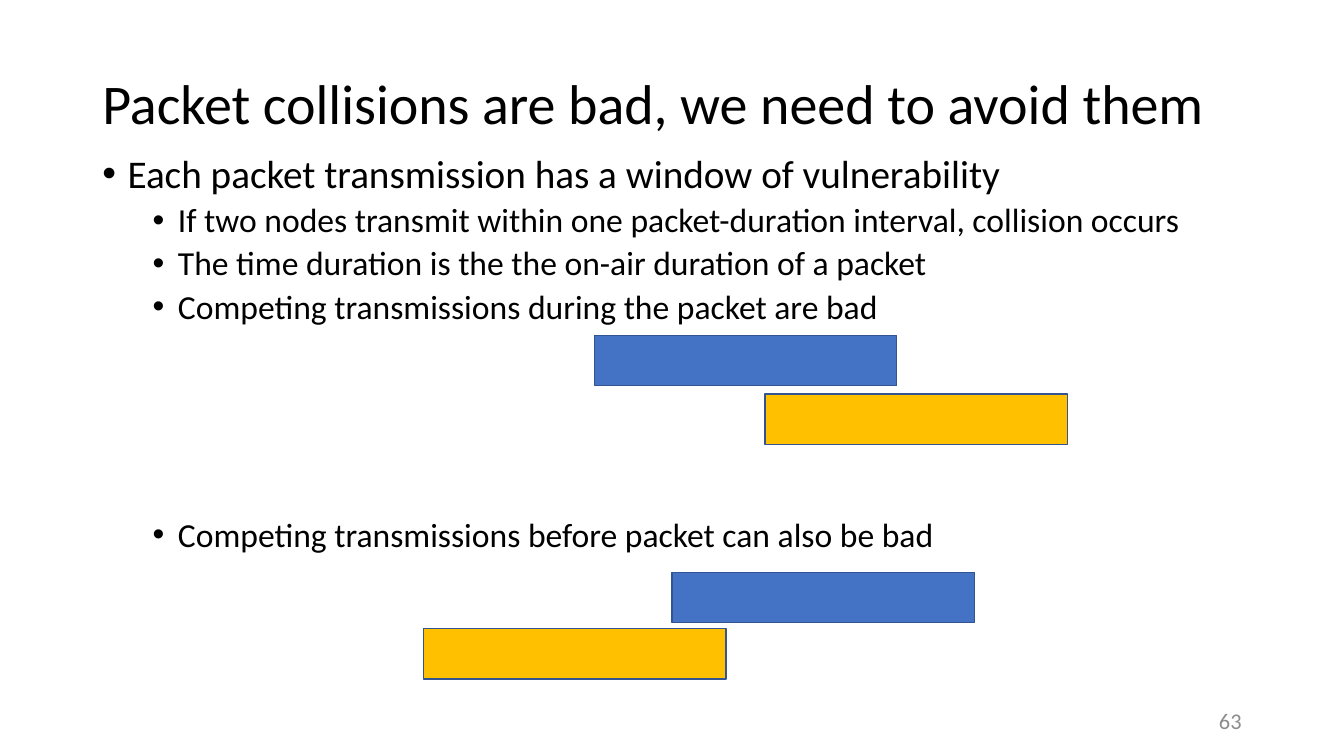
from dataclasses import dataclass

from lxml import etree
from pptx import Presentation
from pptx.dml.color import RGBColor
from pptx.enum.shapes import MSO_SHAPE
from pptx.enum.text import MSO_ANCHOR, PP_ALIGN
from pptx.oxml.ns import qn
from pptx.slide import Slide
from pptx.text.text import TextFrame
from pptx.util import Cm, Pt

RECTANGLE = MSO_SHAPE.RECTANGLE
TOP, MIDDLE = MSO_ANCHOR.TOP, MSO_ANCHOR.MIDDLE
LEFT, RIGHT = PP_ALIGN.LEFT, PP_ALIGN.RIGHT


@dataclass(frozen=True)
class Theme:
    font: str = "Calibri"
    ink: str = "000000"
    muted: str = "8C8C8C"
    packet: str = "4472C4"
    competitor: str = "FFC000"
    outline: str = "325491"
    title_size: int = 40
    point_size: int = 28
    detail_size: int = 24
    number_size: int = 16


@dataclass(frozen=True)
class Bullet:
    text: str
    level: int = 1
    space_before: float = 5


@dataclass(frozen=True)
class Transmission:
    left: float
    top: float
    color: str


THEME = Theme()
MARGIN, CONTENT_WIDTH = 2.33, 29.21
BAR_WIDTH, BAR_HEIGHT = 7.62, 1.27
BULLET_HANG, LEVEL_STEP = 0.635, 1.27
DIAGRAM_GAP = 137  # points kept free for the first pair of bars

BULLETS = (
    Bullet("Each packet transmission has a window of vulnerability", 0, 10),
    Bullet("If two nodes transmit within one packet-duration interval, collision occurs"),
    Bullet("The time duration is the the on-air duration of a packet"),
    Bullet("Competing transmissions during the packet are bad"),
    Bullet("Competing transmissions before packet can also be bad", space_before=DIAGRAM_GAP),
)

TRANSMISSIONS = (
    Transmission(14.98, 8.45, THEME.packet),
    Transmission(16.94, 14.42, THEME.packet),
    Transmission(10.68, 15.84, THEME.competitor),
    Transmission(19.28, 9.93, THEME.competitor),
)


def add_frame(slide: Slide, left: float, top: float, width: float, height: float,
              anchor: MSO_ANCHOR = MIDDLE) -> TextFrame:
    frame = slide.shapes.add_textbox(Cm(left), Cm(top), Cm(width), Cm(height)).text_frame
    frame.word_wrap = True
    frame.vertical_anchor = anchor
    return frame


def write(frame: TextFrame, text: str, *, size: float, color: str = THEME.ink,
          align: PP_ALIGN = LEFT, line_spacing: float = 0.9,
          space_before: float = 0, bullet_level: int | None = None) -> None:
    """Fill the frame's first paragraph, or append one if it is taken."""
    first = frame.paragraphs[0]
    paragraph = frame.add_paragraph() if first.runs else first
    paragraph.alignment = align
    paragraph.line_spacing = line_spacing
    paragraph.space_before = Pt(space_before)
    run = paragraph.add_run()
    run.text = text
    run.font.name = THEME.font
    run.font.size = Pt(size)
    run.font.color.rgb = RGBColor.from_string(color)
    if bullet_level is not None:
        paragraph.level = bullet_level
        properties = paragraph._p.get_or_add_pPr()
        properties.set("marL", str(Cm(BULLET_HANG + bullet_level * LEVEL_STEP)))
        properties.set("indent", str(-Cm(BULLET_HANG)))
        etree.SubElement(properties, qn("a:buFont"), typeface="Arial")
        etree.SubElement(properties, qn("a:buChar"), char="•")


def add_transmission(slide: Slide, transmission: Transmission) -> None:
    bar = slide.shapes.add_shape(RECTANGLE, Cm(transmission.left), Cm(transmission.top),
                                 Cm(BAR_WIDTH), Cm(BAR_HEIGHT))
    bar.shadow.inherit = False
    bar.fill.solid()
    bar.fill.fore_color.rgb = RGBColor.from_string(transmission.color)
    bar.line.color.rgb = RGBColor.from_string(THEME.outline)
    bar.line.width = Pt(1)


def main() -> None:
    presentation = Presentation()
    presentation.slide_width, presentation.slide_height = Cm(33.87), Cm(19.05)
    slide = presentation.slides.add_slide(presentation.slide_layouts[6])

    title = add_frame(slide, MARGIN, 0.84, CONTENT_WIDTH, 3.68)
    write(title, "Packet collisions are bad, we need to avoid them", size=THEME.title_size)

    body = add_frame(slide, MARGIN, 3.76, CONTENT_WIDTH, 12.09, anchor=TOP)
    for bullet in BULLETS:
        write(body, bullet.text, bullet_level=bullet.level, space_before=bullet.space_before,
              size=THEME.detail_size if bullet.level else THEME.point_size)

    number = add_frame(slide, 23.92, 17.65, 7.62, 1.02)
    write(number, "63", size=THEME.number_size, color=THEME.muted, align=RIGHT, line_spacing=1.0)

    for transmission in TRANSMISSIONS:
        add_transmission(slide, transmission)

    presentation.save("out.pptx")


if __name__ == "__main__":
    main()
